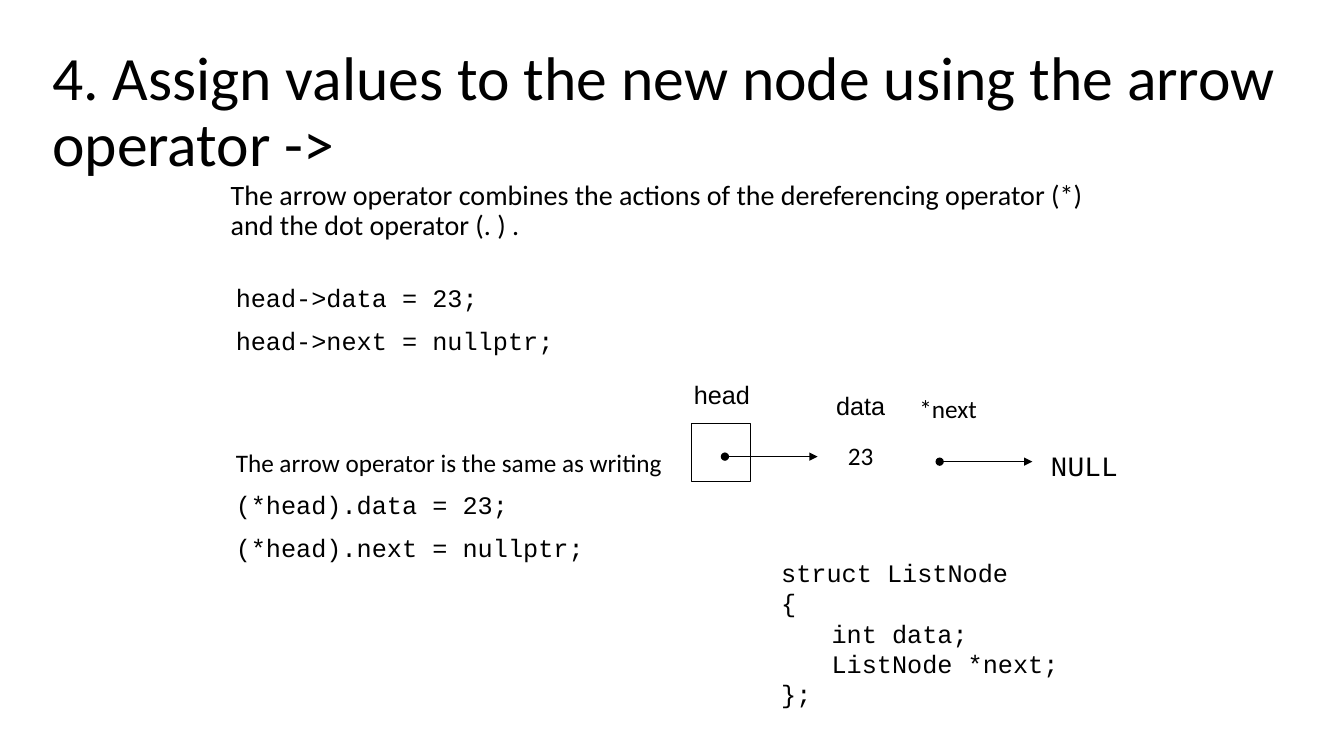
"""Builds a slide on assigning values to a list node with the arrow operator."""
from dataclasses import dataclass

import pptx
import pptx.dml.color
import pptx.enum.shapes
import pptx.enum.text
import pptx.oxml
import pptx.oxml.ns
import pptx.util
from pptx.util import Inches

ALIGN = pptx.enum.text.PP_ALIGN
ANCHOR = pptx.enum.text.MSO_ANCHOR


@dataclass(frozen=True)
class Theme:
    """Colours, fonts and type sizes of the slide."""
    ink: pptx.dml.color.RGBColor = pptx.dml.color.RGBColor(0, 0, 0)
    paper: pptx.dml.color.RGBColor = pptx.dml.color.RGBColor(255, 255, 255)
    prose: str = "Calibri"
    code: str = "Courier New"
    label: str = "Arial"
    title_size: int = 44
    lead_size: int = 20
    text_size: int = 18
    line_width: float = 0.75


THEME = Theme()


@dataclass(frozen=True)
class TextBlock:
    """A text box whose lines are pairs of wording and font name."""
    left: float
    top: float
    width: float
    height: float
    lines: tuple[tuple[str, str], ...]
    size: int = THEME.text_size
    spacing: float = 1.0
    gap: int = 0
    align: ALIGN = ALIGN.LEFT
    anchor: ANCHOR = ANCHOR.TOP
    wrap: bool = True


@dataclass(frozen=True)
class Pointer:
    """A horizontal arrow that starts with a dot."""
    left: float
    top: float
    length: float = 0.92


def code_lines(*lines: str) -> tuple[tuple[str, str], ...]:
    """Pair each line with the code font."""
    return tuple((line, THEME.code) for line in lines)


def node_label(left: float, top: float, width: float, text: str) -> TextBlock:
    """Describe a centred label above a node field."""
    return TextBlock(left, top, width, 0.34, ((text, THEME.label),),
                     spacing=0.8, align=ALIGN.CENTER, wrap=False)


TEXT_BLOCKS = (
    TextBlock(0.42, 0.4, 12.5, 1.45,
              (("4. Assign values to the new node using the arrow operator ->", THEME.prose),),
              size=THEME.title_size, spacing=0.9, anchor=ANCHOR.MIDDLE),
    TextBlock(2.19, 1.75, 9, 0.75,
              (("The arrow operator combines the actions of the dereferencing operator (*) "
                "and the dot operator (. ) .", THEME.prose),),
              size=THEME.lead_size, spacing=0.9),
    TextBlock(2.24, 2.79, 8.6, 0.8,
              code_lines("head->data = 23;", "head->next = nullptr;"),
              spacing=0.9, gap=11),
    TextBlock(2.24, 4.42, 4.6, 1.25,
              (("The arrow operator is the same as writing", THEME.prose),
               *code_lines("(*head).data = 23;", "(*head).next = nullptr;")),
              spacing=0.9, gap=11),
    TextBlock(8.31, 4.32, 0.72, 0.4, (("23", THEME.prose),)),
    TextBlock(9.02, 3.85, 1.01, 0.4, (("*next", THEME.prose),)),
    node_label(6.78, 3.77, 0.76, "head"),
    node_label(8.19, 3.88, 0.69, "data"),
    TextBlock(10.32, 4.33, 0.87, 0.5, code_lines("NULL"), size=THEME.lead_size,
              spacing=1.2, align=ALIGN.CENTER, wrap=False),
    TextBlock(7.65, 5.48, 4.5, 1.62,
              code_lines("struct ListNode", "{", "\tint data;", "\tListNode *next;", "};")),
)
POINTERS = (Pointer(7.19, 4.53), Pointer(9.32, 4.58))


def apply_format(target: object, values: dict[str, object]) -> None:
    """Set each named attribute on the target."""
    for name, value in values.items():
        setattr(target, name, value)


def draw_text(slide: pptx.slide.Slide, block: TextBlock) -> None:
    """Draw one text block."""
    box = slide.shapes.add_textbox(Inches(block.left), Inches(block.top),
                                   Inches(block.width), Inches(block.height))
    frame = box.text_frame
    apply_format(frame, {"word_wrap": block.wrap, "vertical_anchor": block.anchor})
    for index, (text, font_name) in enumerate(block.lines):
        paragraph = frame.add_paragraph() if index else frame.paragraphs[0]
        apply_format(paragraph, {"alignment": block.align, "line_spacing": block.spacing})
        if index:
            paragraph.space_before = pptx.util.Pt(block.gap)
        run = paragraph.add_run()
        run.text = text
        apply_format(run.font, {"name": font_name, "size": pptx.util.Pt(block.size)})
        run.font.color.rgb = THEME.ink


def draw_outline(line: pptx.dml.line.LineFormat) -> None:
    """Give a line the theme colour and width."""
    line.color.rgb = THEME.ink
    line.width = pptx.util.Pt(THEME.line_width)


def draw_head_box(slide: pptx.slide.Slide) -> None:
    """Draw the square that holds the head pointer."""
    shape = slide.shapes.add_shape(pptx.enum.shapes.MSO_SHAPE.RECTANGLE, Inches(6.86),
                                   Inches(4.2), Inches(0.58), Inches(0.58))
    shape.shadow.inherit = False
    shape.fill.background()
    draw_outline(shape.line)


def draw_pointer(slide: pptx.slide.Slide, pointer: Pointer) -> None:
    """Draw one arrow with a dot at its start."""
    connector = slide.shapes.add_connector(
        pptx.enum.shapes.MSO_CONNECTOR.STRAIGHT, Inches(pointer.left), Inches(pointer.top),
        Inches(pointer.left + pointer.length), Inches(pointer.top))
    draw_outline(connector.line)
    properties = connector.element.spPr
    outline = properties.find(pptx.oxml.ns.qn("a:ln"))
    namespace = pptx.oxml.ns.nsdecls("a")
    for end, kind in (("headEnd", "oval"), ("tailEnd", "triangle")):
        outline.append(pptx.oxml.parse_xml(f'<a:{end} {namespace} type="{kind}"/>'))
    properties.append(pptx.oxml.parse_xml(f"<a:effectLst {namespace}/>"))


def main() -> None:
    """Build and save the slide."""
    presentation = pptx.Presentation()
    apply_format(presentation, {"slide_width": Inches(13.33), "slide_height": Inches(7.5)})
    slide = presentation.slides.add_slide(presentation.slide_layouts[6])
    slide.background.fill.solid()
    slide.background.fill.fore_color.rgb = THEME.paper
    draw_head_box(slide)
    for pointer in POINTERS:
        draw_pointer(slide, pointer)
    for block in TEXT_BLOCKS:
        draw_text(slide, block)
    presentation.save("out.pptx")


if __name__ == "__main__":
    main()
